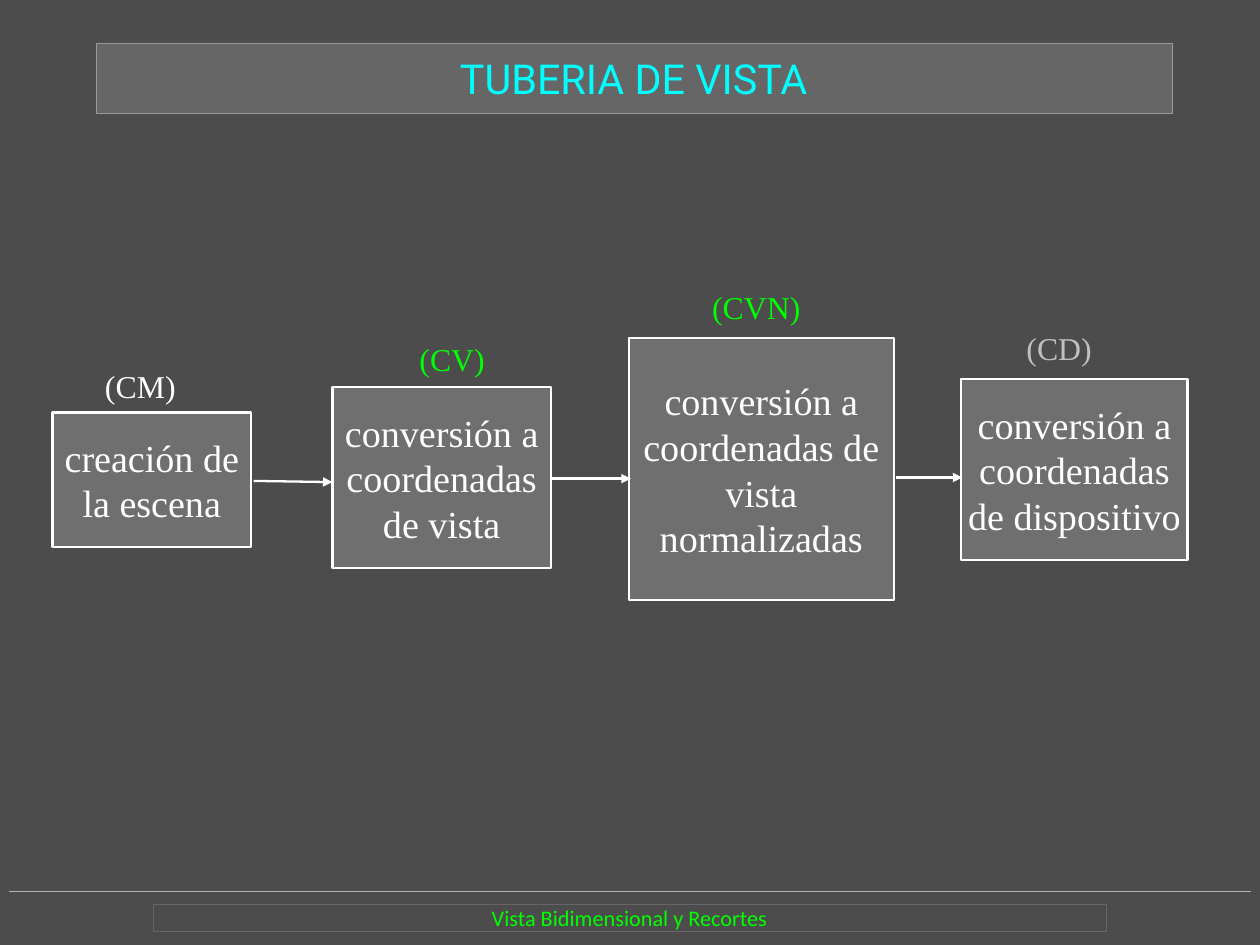
from dataclasses import dataclass

from lxml.etree import SubElement
from pptx import Presentation
from pptx.dml.color import RGBColor
from pptx.enum.shapes import MSO_CONNECTOR, MSO_SHAPE
from pptx.enum.text import MSO_ANCHOR, MSO_AUTO_SIZE, PP_ALIGN
from pptx.oxml.ns import qn
from pptx.util import Cm, Inches, Pt


@dataclass(frozen=True)
class Theme:
    back: str = "4C4C4C"
    panel: str = "666666"
    edge: str = "999999"
    rule: str = "B3B3B3"
    white: str = "FFFFFF"
    cyan: str = "00FFFF"
    green: str = "00FF00"
    silver: str = "C0C0C0"
    serif: str = "Times New Roman"
    sans: str = "Roboto"
    foot: str = "Calibri"
    head_size: float = 26
    stage_size: float = 24
    tag_size: float = 20
    foot_size: float = 14
    stroke: float = 1.45
    hair: float = 0.1


THEME = Theme()

# Percent of the slide: left, top, width, height
HEAD = (7.62, 4.6, 85.39, 7.4)
PIPE = (4.16, 30.46, 90.1, 33.01)
BASE = (0.69, 94.32, 98.58, 4.23)

# Percent of the pipe: stage box, then label, its left edge, rise and colour
STAGES = [
    ("creación de la escena", (0, 39.93, 17.52, 43.22),
     "(CM)", 4.63, 14.65, THEME.white),
    ("conversión a coordenadas de vista", (24.67, 31.87, 19.23, 57.88),
     "(CV)", 32.33, 15.39, THEME.green),
    ("conversión a coordenadas de vista normalizadas", (50.76, 16.12, 23.36, 83.88),
     "(CVN)", 58.11, 16.12, THEME.green),
    ("conversión a coordenadas de dispositivo", (80.06, 29.3, 19.94, 57.88),
     "(CD)", 85.8, 16.12, THEME.silver),
]
TAG_WIDTH, TAG_HEIGHT = 8.16, 12.82
ARROWS = [
    (17.72, 61.9, 24.67, 62.27),
    (43.91, 61.17, 50.96, 61.17),
    (74.32, 60.81, 80.16, 60.81),
]


def share(box, part):
    """Turn percents of a box into lengths on the slide."""
    left, top, width, height = box
    x, y, w, h = part
    return [round(v) for v in (left + width * x / 100, top + height * y / 100,
                               width * w / 100, height * h / 100)]


def apply(item, values):
    for name, value in values.items():
        setattr(item, name, value)


def ink(line, color, width):
    line.color.rgb = RGBColor.from_string(color)
    line.width = Pt(width)


def paint(shape, color):
    shape.fill.solid()
    shape.fill.fore_color.rgb = RGBColor.from_string(color)


def write(shape, text, face, size, color, align=PP_ALIGN.CENTER,
          anchor=MSO_ANCHOR.MIDDLE, inset=0):
    frame = shape.text_frame
    margin = Inches(inset)
    apply(frame, dict(text=text, word_wrap=True, auto_size=MSO_AUTO_SIZE.NONE,
                      vertical_anchor=anchor, margin_left=margin, margin_right=margin,
                      margin_top=margin, margin_bottom=margin))
    para = frame.paragraphs[0]
    apply(para, dict(alignment=align, line_spacing=1.0))
    font = para.runs[0].font
    apply(font, dict(name=face, size=Pt(size)))
    font.color.rgb = RGBColor.from_string(color)


def add_box(slide, place):
    box = slide.shapes.add_shape(MSO_SHAPE.RECTANGLE, *place)
    box.shadow.inherit = False
    return box


def add_line(slide, start, end, color, width):
    link = slide.shapes.add_connector(MSO_CONNECTOR.STRAIGHT, *start, *end)
    ink(link.line, color, width)
    SubElement(link.element.spPr, qn("a:effectLst"))
    return link


def draw_head(slide, box):
    title = slide.shapes.title
    apply(title, dict(zip(("left", "top", "width", "height"), box)))
    paint(title, THEME.panel)
    ink(title.line, THEME.edge, THEME.hair)
    write(title, "TUBERIA DE VISTA", THEME.sans, THEME.head_size, THEME.cyan)


def draw_stage(slide, box, stage):
    """Draw one see-through box with its label above."""
    text, part, tag, left, rise, color = stage
    block = add_box(slide, share(box, part))
    paint(block, THEME.white)
    tint = block.element.spPr.find(qn("a:solidFill"))[0]
    SubElement(tint, qn("a:alpha"), val="20000")
    ink(block.line, THEME.white, THEME.stroke)
    write(block, text, THEME.serif, THEME.stage_size, THEME.white, inset=0.01)
    place = share(box, (left, part[1] - rise, TAG_WIDTH, TAG_HEIGHT))
    write(slide.shapes.add_textbox(*place), tag, THEME.serif, THEME.tag_size, color,
          align=PP_ALIGN.LEFT, anchor=MSO_ANCHOR.TOP)


def draw_pipe(slide, box):
    for stage in STAGES:
        draw_stage(slide, box, stage)
    for x1, y1, x2, y2 in ARROWS:
        start = share(box, (x1, y1, 0, 0))[:2]
        end = share(box, (x2, y2, 0, 0))[:2]
        link = add_line(slide, start, end, THEME.white, THEME.stroke)
        SubElement(link.element.spPr.find(qn("a:ln")), qn("a:tailEnd"), type="triangle")


def draw_base(slide, box):
    left, top, width, height = box
    add_line(slide, (left, top), (left + width, top), THEME.rule, THEME.hair)
    label = add_box(slide, share(box, (11.63, 31.4, 76.7, 68.6)))
    label.fill.background()
    ink(label.line, THEME.panel, THEME.hair)
    write(label, "Vista Bidimensional y Recortes", THEME.foot,
          THEME.foot_size, THEME.green)


def main():
    deck = Presentation()
    apply(deck, dict(slide_width=Cm(28), slide_height=Cm(21)))
    page = (0, 0, deck.slide_width, deck.slide_height)
    slide = deck.slides.add_slide(deck.slide_layouts.get_by_name("Title Only"))
    paint(slide.background, THEME.back)
    for draw, part in ((draw_base, BASE), (draw_head, HEAD), (draw_pipe, PIPE)):
        draw(slide, share(page, part))
    deck.save("out.pptx")


if __name__ == "__main__":
    main()
